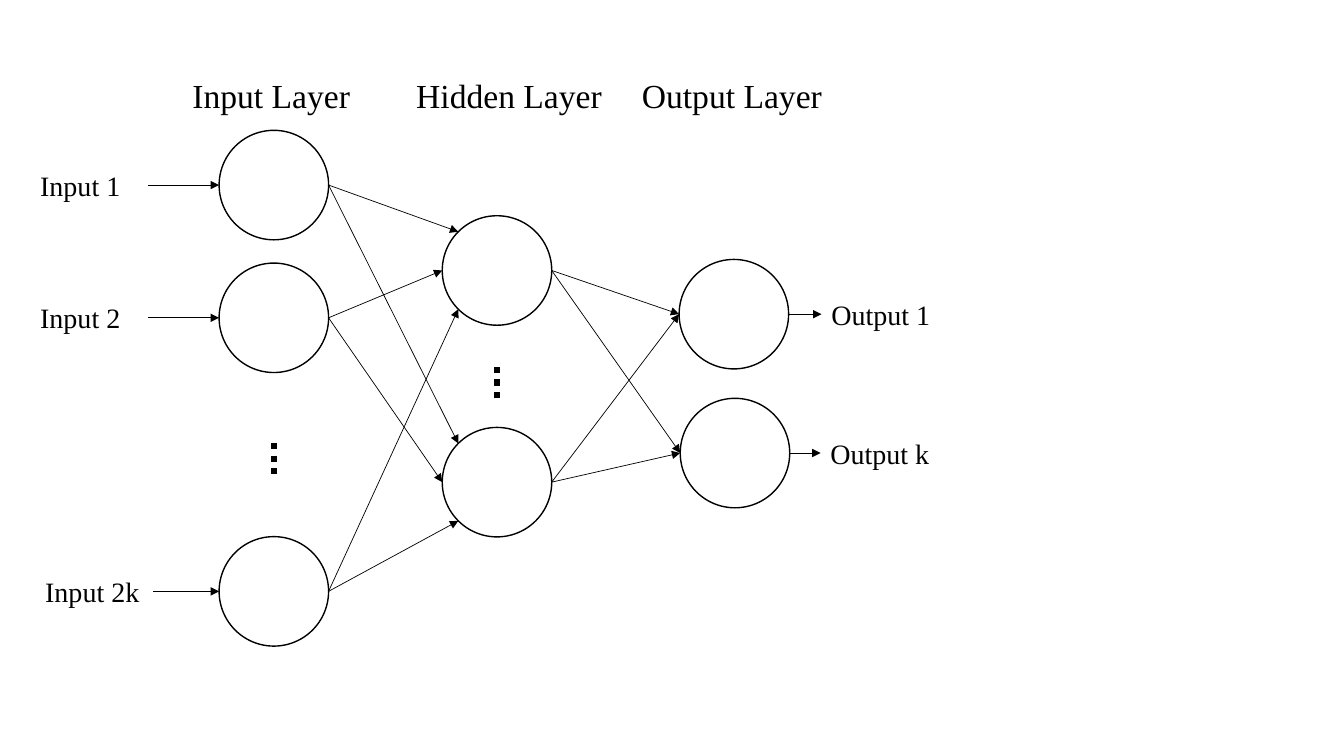
from math import cos, radians, sin

from lxml import etree
from pptx import Presentation
from pptx.dml.color import RGBColor
from pptx.enum.dml import MSO_LINE_DASH_STYLE as Dash
from pptx.enum.shapes import MSO_CONNECTOR as Connector, MSO_SHAPE as Shape
from pptx.oxml.ns import qn
from pptx.util import Pt

BLACK = RGBColor.from_string("000000")
DIAMETER = 78.2
RADIUS = DIAMETER / 2

presentation = Presentation()
presentation.slide_width, presentation.slide_height = Pt(960), Pt(540)
slide = presentation.slides.add_slide(presentation.slide_layouts[6])


def add_label(text, left, top, width, height, size):
    box = slide.shapes.add_textbox(Pt(left), Pt(top), Pt(width), Pt(height))
    box.text_frame.word_wrap = True
    box.text_frame.text = text
    font = box.text_frame.paragraphs[0].runs[0].font
    font.name, font.size = "Times New Roman", Pt(size)
    font.color.rgb = BLACK


def add_line(start, end, dotted=False):
    line = slide.shapes.add_connector(Connector.STRAIGHT, *map(Pt, start + end))
    line.line.color.rgb = BLACK
    line.line.width = Pt(4.5 if dotted else 0.5)
    properties = line._element.spPr
    if dotted:
        line.line.dash_style = Dash.ROUND_DOT
        properties.ln.find(qn("a:prstDash")).set("val", "sysDot")
    else:
        etree.SubElement(properties.ln, qn("a:tailEnd")).set("type", "triangle")
    etree.SubElement(properties, qn("a:effectLst"))


# Neuron centres, layer by layer
inputs = [(195.6, 132.2), (195.6, 227), (195.6, 422.4)]
hidden = [(355, 193.2), (355, 344.4)]
outputs = [(524.2, 224.4), (525, 323.6)]

for x, y in inputs + hidden + outputs:
    neuron = slide.shapes.add_shape(
        Shape.OVAL, Pt(x - RADIUS), Pt(y - RADIUS), Pt(DIAMETER), Pt(DIAMETER))
    neuron.shadow.inherit = False
    neuron.fill.background()
    neuron.line.color.rgb = BLACK
    neuron.line.width = Pt(1)

# Input to hidden: each input enters at its own angle on the left side
for (x, y), angle in zip(inputs, (-45, 0, 45)):
    for hidden_x, hidden_y in hidden:
        entry = (hidden_x - RADIUS * cos(radians(angle)),
                 hidden_y + RADIUS * sin(radians(angle)))
        add_line((x + RADIUS, y), entry)

# Hidden to output
for x, y in hidden:
    for output_x, output_y in outputs:
        add_line((x + RADIUS, y), (output_x - RADIUS, output_y))

# Ellipsis dots between neurons
for x, top in ((195.6, 316.4), (355, 262)):
    add_line((x, top), (x, top + 22.5), dotted=True)

# Layer headings
for text, left, width in (("Input Layer", 130.3, 130.3),
                          ("Hidden Layer", 290.2, 147),
                          ("Output Layer", 451.4, 147)):
    add_label(text, left, 49.7, width, 36, 24)

# Input labels and arrows
for text, left, (x, y) in zip(("Input 1", "Input 2", "Input 2k"),
                              (21.6, 21.6, 25.2), inputs):
    add_label(text, left, y - 15.6, 84.2, 31.5, 20)
    add_line((left + 84.2, y), (x - RADIUS, y))

# Output labels and arrows
for text, left, (x, y) in zip(("Output 1", "Output k"), (586.8, 586.1), outputs):
    add_label(text, left, y - 15.6, 92, 31.5, 20)
    add_line((x + RADIUS, y), (left, y))

presentation.save("out.pptx")
